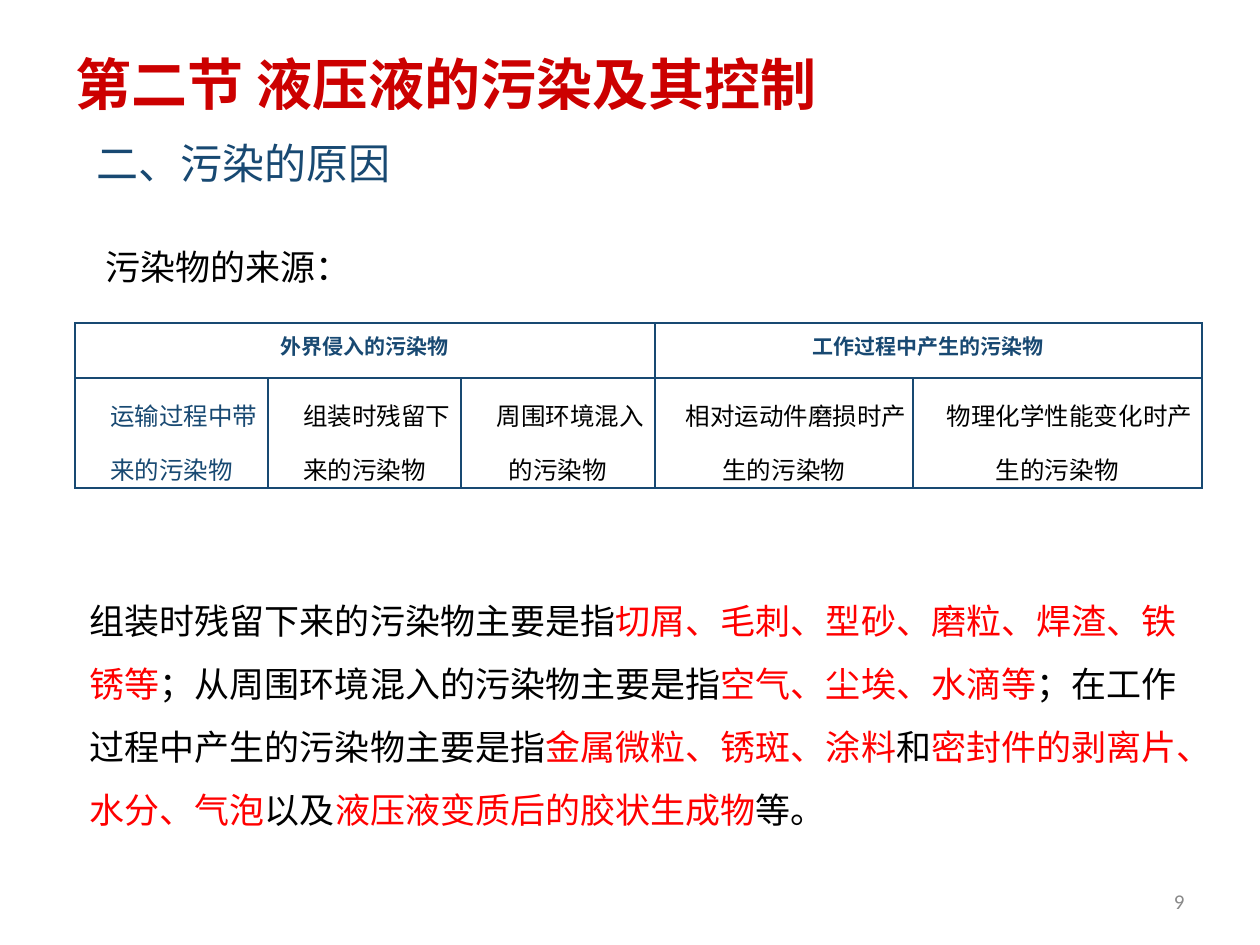
from dataclasses import dataclass

from lxml import etree
from pptx import Presentation
from pptx import util as u
from pptx.dml.color import RGBColor
from pptx.enum import text
from pptx.oxml.ns import qn

SCALE = 914400 / 126  # EMU per px


@dataclass(frozen=True)
class Theme:
    heading: str = "Calibri"
    body: str = "Times New Roman"
    title_red: str = "CC0000"
    navy: str = "184972"
    black: str = "000000"
    red: str = "FF0000"
    gray: str = "898989"
    title_size: int = 32
    section_size: int = 24
    body_size: int = 20
    cell_size: int = 14
    small_size: int = 12


THEME = Theme()
ALIGN = text.PP_ALIGN


def px(length):
    return u.Emu(round(length * SCALE))


def place(shape, box):
    shape.left, shape.top, shape.width, shape.height = map(px, box)


def write(paragraph, runs, size, font=THEME.body, bold=False,
          align=ALIGN.LEFT, spacing=1.0, indent=0):
    """Fill a paragraph with (wording, colour) runs, without a bullet."""
    properties = paragraph._p.get_or_add_pPr()
    properties.set("marL", "0")
    properties.set("indent", str(int(indent)))
    etree.SubElement(properties, qn("a:buNone"))
    paragraph.alignment = align
    paragraph.line_spacing = spacing
    paragraph.space_before = u.Pt(0)
    for wording, color in runs:
        run = paragraph.add_run()
        run.text = wording
        run.font.name = font
        run.font.size = u.Pt(size)
        run.font.bold = bold
        run.font.color.rgb = RGBColor.from_string(color)


def fill_shape(shape, box, runs, size, anchor=text.MSO_ANCHOR.TOP, **style):
    place(shape, box)
    frame = shape.text_frame
    frame.word_wrap = True
    frame.auto_size = text.MSO_AUTO_SIZE.NONE
    frame.vertical_anchor = anchor
    write(frame.paragraphs[0], runs, size, **style)


def add_label(slide, box, runs, size, **style):
    fill_shape(slide.shapes.add_textbox(0, 0, 0, 0), box, runs, size, **style)


def outline_cell(cell):
    properties = cell._tc.get_or_add_tcPr()
    for side in ("lnL", "lnR", "lnT", "lnB"):
        line = etree.SubElement(properties, qn(f"a:{side}"), w=str(u.Pt(1)))
        fill = etree.SubElement(line, qn("a:solidFill"))
        etree.SubElement(fill, qn("a:srgbClr"), val=THEME.navy)
    cell.fill.background()


def add_heading(slide, box):
    """Chapter title with the section name below it."""
    left, top, width, height = box
    fill_shape(slide.shapes.title, (left, top, width, 81),
               [("第二节 液压液的污染及其控制", THEME.title_red)],
               THEME.title_size, font=THEME.heading, bold=True)
    add_label(slide, (0, top + 88, 488, height - 88),
              [("二、污染的原因", THEME.navy)],
              THEME.section_size, align=ALIGN.CENTER)


def add_source_table(slide, box):
    """Sources of contamination: two groups over their kinds."""
    left, top, width, height = box
    groups = [
        ("外界侵入的污染物", ["运输过程中带来的污染物",
                              "组装时残留下来的污染物",
                              "周围环境混入的污染物"]),
        ("工作过程中产生的污染物", ["相对运动件磨损时产生的污染物",
                                    "物理化学性能变化时产生的污染物"]),
    ]
    column_widths = [193, 193, 194, 258, 289]
    header_height = 55
    table = slide.shapes.add_table(
        2, len(column_widths), *map(px, box)).table
    table.first_row = table.horz_banding = False
    for column, column_width in zip(table.columns, column_widths):
        column.width = px(column_width)
    table.rows[0].height = px(header_height)
    table.rows[1].height = px(height - header_height)

    for row, side_margin in enumerate((0, 5)):
        for cell in table.rows[row].cells:
            outline_cell(cell)
            cell.vertical_anchor = text.MSO_ANCHOR.MIDDLE
            cell.margin_left = cell.margin_right = px(side_margin)
            cell.margin_top = cell.margin_bottom = 0

    first = 0
    for group, kinds in groups:
        header = table.cell(0, first)
        header.merge(table.cell(0, first + len(kinds) - 1))
        write(header.text_frame.paragraphs[0], [(group, THEME.navy)],
              THEME.small_size, bold=True, align=ALIGN.CENTER,
              spacing=u.Pt(12))
        for index, kind in enumerate(kinds, first):
            color = THEME.navy if index == 0 else THEME.black
            write(table.cell(1, index).text_frame.paragraphs[0],
                  [(kind, color)], THEME.cell_size, align=ALIGN.CENTER,
                  spacing=1.5, indent=u.Pt(THEME.cell_size))
        first += len(kinds)


def add_explanation(slide, box):
    """Body paragraph in which the contaminants stand out in red."""
    phrases = [
        "组装时残留下来的污染物主要是指", "切屑、毛刺、型砂、磨粒、焊渣、铁锈等",
        "；从周围环境混入的污染物主要是指", "空气、尘埃、水滴等",
        "；在工作过程中产生的污染物主要是指", "金属微粒、锈斑、涂料",
        "和", "密封件的剥离片、水分、气泡",
        "以及", "液压液变质后的胶状生成物", "等。",
    ]
    runs = [(phrase, THEME.red if index % 2 else THEME.black)
            for index, phrase in enumerate(phrases)]
    fill_shape(slide.placeholders[1], box, runs, THEME.body_size, spacing=1.5)


def main():
    presentation = Presentation()
    presentation.slide_width = px(1260)
    presentation.slide_height = px(945)
    slide = presentation.slides.add_slide(presentation.slide_layouts[1])

    add_heading(slide, (63, 43, 1052, 152))
    add_label(slide, (93, 218, 1111, 68),
              [("污染物的来源：", THEME.black)], THEME.body_size, spacing=1.5)
    add_source_table(slide, (75, 323, 1127, 165))
    add_explanation(slide, (77, 572, 1144, 260))

    # Page number
    add_label(slide, (903, 876, 294, 50), [("9", THEME.gray)],
              THEME.small_size, font=THEME.heading, align=ALIGN.RIGHT,
              anchor=text.MSO_ANCHOR.MIDDLE)
    presentation.save("out.pptx")


if __name__ == "__main__":
    main()
